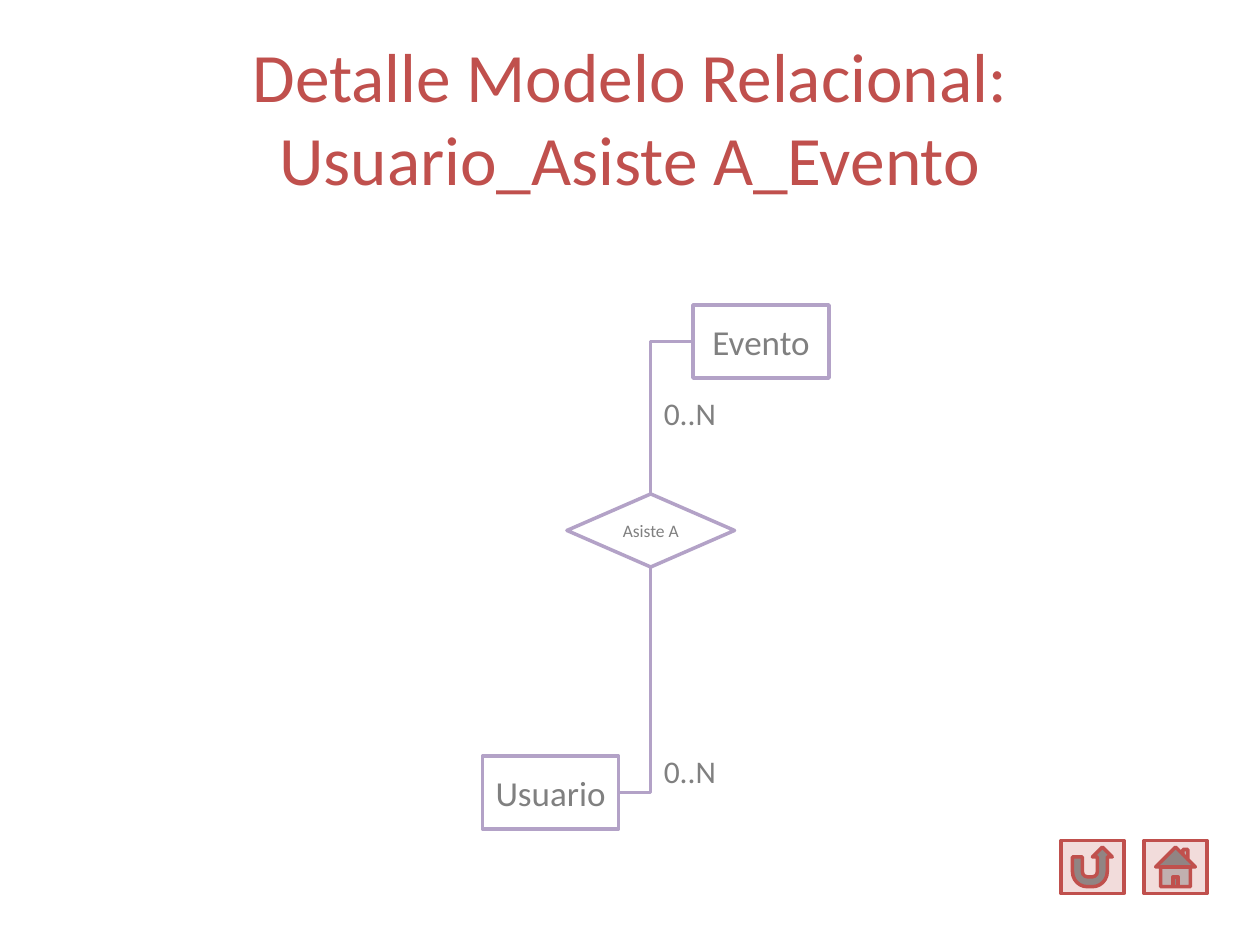
from pptx import Presentation
from pptx.dml.color import RGBColor
from pptx.enum.shapes import MSO_CONNECTOR, MSO_SHAPE as SHAPE
from pptx.enum.text import MSO_ANCHOR as ANCHOR, PP_ALIGN as ALIGN
from pptx.oxml.ns import qn
from pptx.util import Inches, Pt

COLORS = {"title": "C0504D", "button": "F2DCDB", "line": "B3A2C7",
          "text": "808080", "box": "FFFFFF"}
FONT = "Calibri"
LINE_WIDTH = 2

# Content: positions are left, top, width, height in inches
TITLE = ("Detalle Modelo Relacional:\vUsuario_Asiste A_Evento", (0.5, 0.3, 9, 1.25))
NODES = [
    ("Usuario", SHAPE.RECTANGLE, 20, (3.83, 6, 1.08, 0.58)),
    ("Evento", SHAPE.RECTANGLE, 20, (5.5, 2.42, 1.08, 0.58)),
    ("Asiste A", SHAPE.DIAMOND, 10, (4.5, 3.92, 1.33, 0.58)),
]
# Connection sites: 0 top, 1 left, 2 bottom, 3 right
LINKS = [("Usuario", 3, "Asiste A", 2), ("Evento", 1, "Asiste A", 0)]
CARDINALITIES = [("0..N", (5.17, 3.08, 0.67, 0.4)), ("0..N", (5.17, 5.92, 0.67, 0.4))]
BUTTONS = [
    (SHAPE.ACTION_BUTTON_RETURN, (8.42, 6.67, 0.5, 0.42)),
    (SHAPE.ACTION_BUTTON_HOME, (9.08, 6.67, 0.5, 0.42)),
]


def color(name):
    return RGBColor.from_string(COLORS[name])


def set_line(line, name):
    line.color.rgb = color(name)
    line.width = Pt(LINE_WIDTH)


def write(sp, text, size, name, align=ALIGN.CENTER, anchor=ANCHOR.MIDDLE, wrap=True):
    tf = sp.text_frame
    tf.text = text
    tf.word_wrap = wrap
    tf.vertical_anchor = anchor
    p = tf.paragraphs[0]
    p.alignment = align
    for r in p.runs:
        r.font.name = FONT
        r.font.size = Pt(size)
        r.font.color.rgb = color(name)


def add_shape(s, kind, box, fill, line):
    sp = s.shapes.add_shape(kind, *map(Inches, box))
    sp.shadow.inherit = False
    sp.fill.solid()
    sp.fill.fore_color.rgb = color(fill)
    set_line(sp.line, line)
    return sp


def add_text(s, text, box, *style, **options):
    write(s.shapes.add_textbox(*map(Inches, box)), text, *style, **options)


def add_link(s, start, start_site, end, end_site):
    link = s.shapes.add_connector(MSO_CONNECTOR.ELBOW, 0, 0, 0, 0)
    link.begin_connect(start, start_site)
    link.end_connect(end, end_site)
    set_line(link.line, "line")
    # A single bend and no shadow
    sp_pr = link._element.spPr
    sp_pr.find(qn("a:prstGeom")).set("prst", "bentConnector2")
    sp_pr.append(sp_pr.makeelement(qn("a:effectLst"), {}))


def main():
    prs = Presentation()
    prs.slide_width, prs.slide_height = Inches(10), Inches(7.5)
    s = prs.slides.add_slide(prs.slide_layouts[6])

    # Title and cardinalities
    add_text(s, *TITLE, 39.6, "title")
    for text, box in CARDINALITIES:
        add_text(s, text, box, 18, "text", align=ALIGN.LEFT, anchor=ANCHOR.TOP)

    # Entities and relationship
    nodes = {}
    for text, kind, size, box in NODES:
        nodes[text] = add_shape(s, kind, box, "box", "line")
        write(nodes[text], text, size, "text", wrap=False)
    for start, start_site, end, end_site in LINKS:
        add_link(s, nodes[start], start_site, nodes[end], end_site)

    # Navigation buttons
    for kind, box in BUTTONS:
        add_shape(s, kind, box, "button", "title")

    prs.save("out.pptx")


if __name__ == "__main__":
    main()
